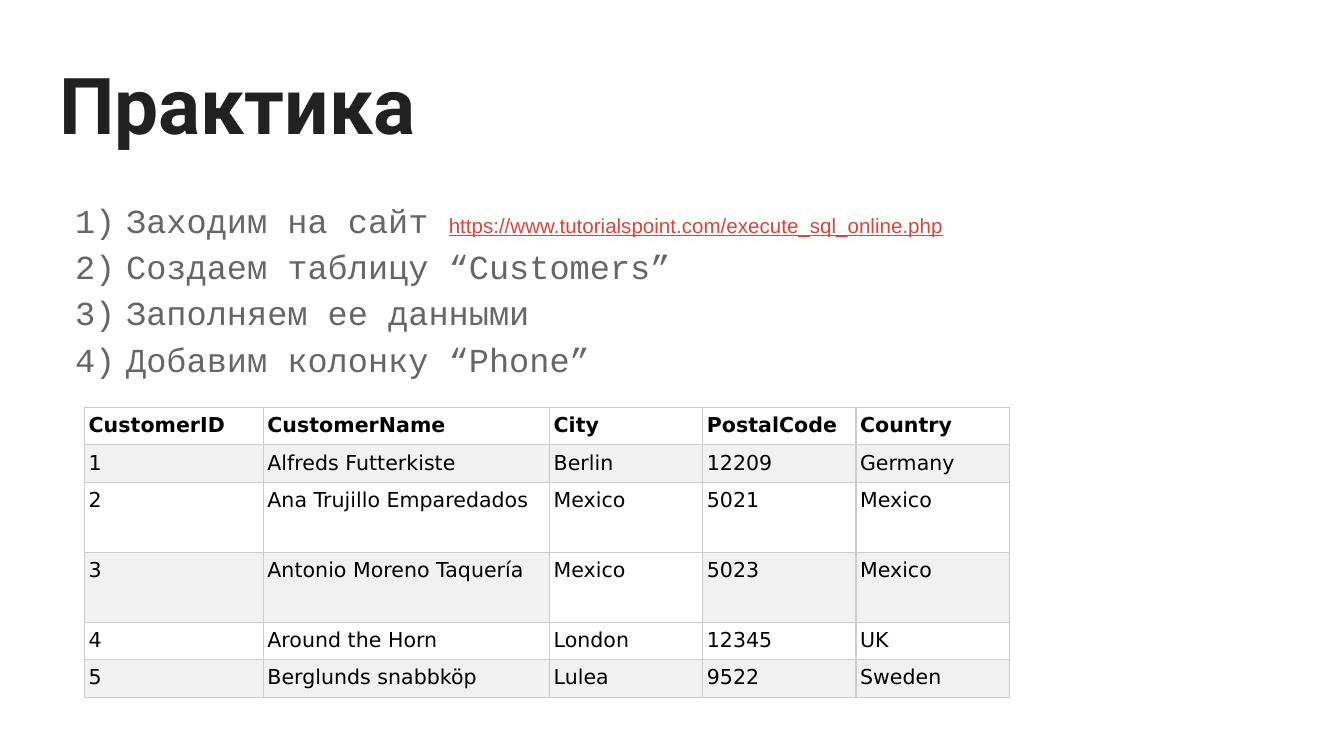
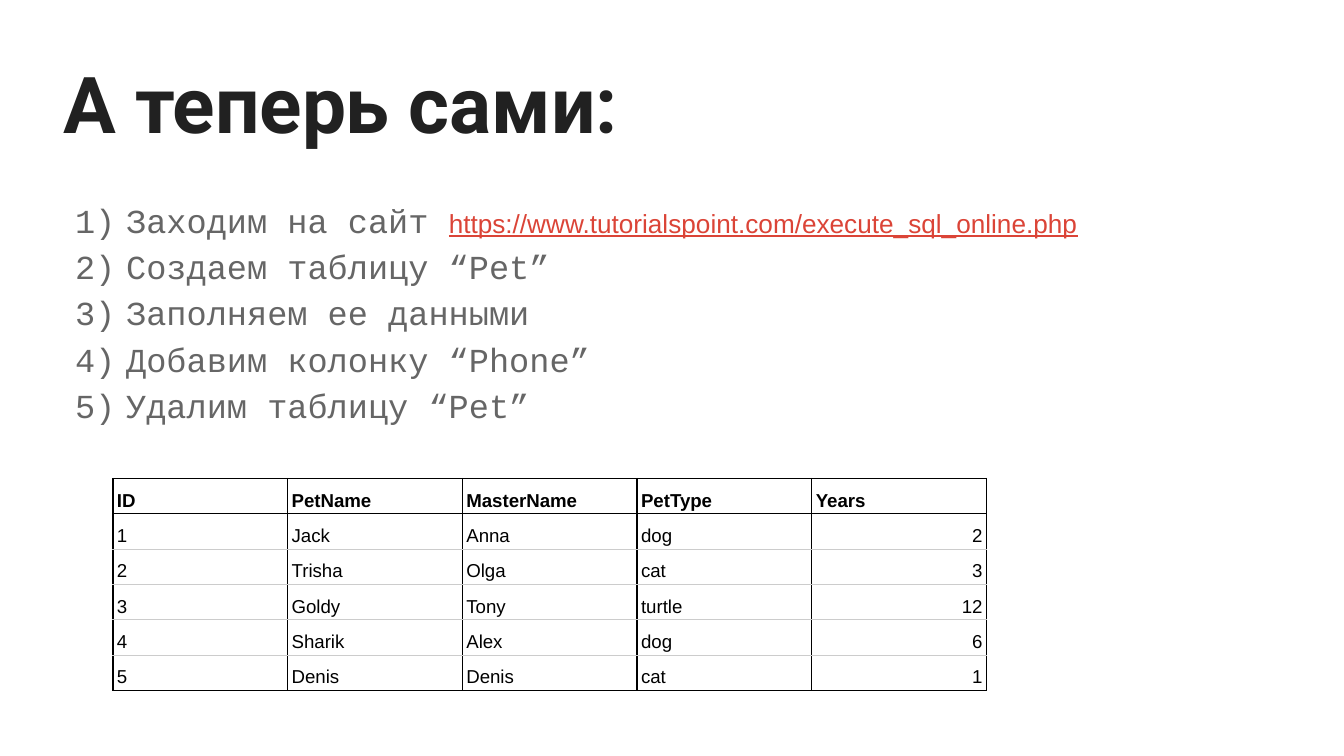
from lxml import etree
from pptx import Presentation
from pptx.dml.color import RGBColor
from pptx.enum import text
from pptx.oxml.ns import qn
from pptx.util import Inches, Pt

COLORS = {"title": "212121", "body": "666666", "link": "DB4437", "ink": "000000",
          "grid": "CCCCCC", "band": "F1F1F1", "white": "FFFFFF"}
URL = "https://www.tutorialspoint.com/execute_sql_online.php"
FIRST_STEP = "Заходим на сайт "

SLIDES = [
    {
        "title": "Практика", "title_at": (0.34, 0.32), "url_size": 11,
        "body_height": 1.69,
        "steps": ["Создаем таблицу “Customers”", "Заполняем ее данными",
                  "Добавим колонку “Phone”"],
        "table": {
            "at": (0.63, 3.03), "font": "DejaVu Sans", "size": 11,
            "cols": [1.33, 2.13, 1.14, 1.14, 1.14],
            "rows": [0.28, 0.28, 0.52, 0.52, 0.28, 0.28],
            "banded": True, "unbanded": {(3, 2)}, "boxed": False,
            "data": [
                ("CustomerID", "CustomerName", "City", "PostalCode", "Country"),
                ("1", "Alfreds Futterkiste", "Berlin", "12209", "Germany"),
                ("2", "Ana Trujillo Emparedados", "Mexico", "5021", "Mexico"),
                ("3", "Antonio Moreno Taquería", "Mexico", "5023", "Mexico"),
                ("4", "Around the Horn", "London", "12345", "UK"),
                ("5", "Berglunds snabbköp", "Lulea", "9522", "Sweden"),
            ],
        },
    },
    {
        "title": "А теперь сами:", "title_at": (0.37, 0.31), "url_size": 14,
        "body_height": 2.06,
        "steps": ["Создаем таблицу “Pet”", "Заполняем ее данными",
                  "Добавим колонку “Phone”", "Удалим таблицу “Pet”"],
        "table": {
            "at": (0.84, 3.56), "font": "Arial", "size": 10,
            "cols": [1.3] * 5, "rows": [1.58 / 6] * 6,
            "banded": False, "unbanded": set(), "boxed": True,
            "data": [
                ("ID", "PetName", "MasterName", "PetType", "Years"),
                ("1", "Jack", "Anna", "dog", 2),
                ("2", "Trisha", "Olga", "cat", 3),
                ("3", "Goldy", "Tony", "turtle", 12),
                ("4", "Sharik", "Alex", "dog", 6),
                ("5", "Denis", "Denis", "cat", 1),
            ],
        },
    },
]


def add_run(p, words, font, size, color, bold=False, underline=False):
    r = p.add_run()
    r.text = words
    r.font.name, r.font.size = font, Pt(size)
    r.font.bold, r.font.underline = bold, underline
    r.font.color.rgb = RGBColor.from_string(COLORS[color])


def set_frame(tf):
    tf.word_wrap = True
    tf.auto_size = text.MSO_AUTO_SIZE.NONE
    tf.vertical_anchor = text.MSO_ANCHOR.TOP
    tf.margin_left = tf.margin_right = tf.margin_top = tf.margin_bottom = Inches(0.1)


def number_paragraph(p):
    pPr = p._p.get_or_add_pPr()
    pPr.set("marL", str(Inches(0.5)))
    pPr.set("indent", str(Inches(-0.38)))
    color = etree.SubElement(pPr, qn("a:buClr"))
    etree.SubElement(color, qn("a:srgbClr"), val=COLORS["body"])
    etree.SubElement(pPr, qn("a:buSzPts"), val="1800")
    etree.SubElement(pPr, qn("a:buFont"), typeface="Courier New")
    etree.SubElement(pPr, qn("a:buAutoNum"), type="arabicParenR")
    p.line_spacing = 1.15


def set_borders(cell, **sides):
    tcPr = cell._tc.get_or_add_tcPr()
    for side in "LRTB":
        ln = etree.SubElement(tcPr, qn("a:ln" + side), w=str(Pt(0.75)))
        fill = etree.SubElement(ln, qn("a:solidFill"))
        etree.SubElement(fill, qn("a:srgbClr"), val=COLORS[sides[side]])


def add_title(s, words, at):
    sp = s.shapes.title
    sp.left, sp.top, sp.width, sp.height = map(Inches, (*at, 9.32, 0.88))
    set_frame(sp.text_frame)
    p = sp.text_frame.paragraphs[0]
    p.alignment = text.PP_ALIGN.LEFT
    p.line_spacing = 1.0
    add_run(p, words, "Roboto", 42, "title", bold=True)


def add_steps(s, steps, height, url_size):
    sp = s.shapes.add_textbox(*map(Inches, (0.34, 1.34, 9.32, height)))
    tf = sp.text_frame
    set_frame(tf)
    for i, step in enumerate([FIRST_STEP, *steps]):
        p = tf.add_paragraph() if i else tf.paragraphs[0]
        number_paragraph(p)
        add_run(p, step, "Courier New", 18, "body")
        if i == 0:
            add_run(p, URL, "Arial", url_size, "link", underline=True)


def add_grid(s, spec):
    cols, rows, boxed = spec["cols"], spec["rows"], spec["boxed"]
    size = (sum(cols), sum(rows))
    table = s.shapes.add_table(len(rows), len(cols),
                               *map(Inches, (*spec["at"], *size))).table
    table.first_row = table.horz_banding = False
    for col, width in zip(table.columns, cols):
        col.width = Inches(width)
    for row, height in zip(table.rows, rows):
        row.height = Inches(height)

    dark_rules = {0, 1, len(rows)} if boxed else set()
    rules = ["ink" if i in dark_rules else "grid" for i in range(len(rows) + 1)]
    side = "ink" if boxed else "grid"
    for i, record in enumerate(spec["data"]):
        for j, value in enumerate(record):
            cell = table.cell(i, j)
            cell.margin_left = cell.margin_right = Inches(0.03)
            cell.margin_top = cell.margin_bottom = Inches(0.02)
            cell.vertical_anchor = text.MSO_ANCHOR.BOTTOM if boxed else text.MSO_ANCHOR.TOP
            set_borders(cell, L=side, R=side, T=rules[i], B=rules[i + 1])
            if boxed and j:
                cell.fill.background()
            else:
                shaded = spec["banded"] and i % 2 and (i, j) not in spec["unbanded"]
                cell.fill.solid()
                cell.fill.fore_color.rgb = RGBColor.from_string(
                    COLORS["band" if shaded else "white"])
            p = cell.text_frame.paragraphs[0]
            p.line_spacing = 1.15
            if isinstance(value, int):
                p.alignment = text.PP_ALIGN.RIGHT
            add_run(p, str(value), spec["font"], spec["size"], "ink", bold=i == 0)


def main():
    prs = Presentation()
    prs.slide_width = Inches(10)
    prs.slide_height = prs.slide_width * 9 // 16
    for content in SLIDES:
        s = prs.slides.add_slide(prs.slide_layouts[5])
        add_title(s, content["title"], content["title_at"])
        add_steps(s, content["steps"], content["body_height"], content["url_size"])
        add_grid(s, content["table"])
    prs.save("out.pptx")


if __name__ == "__main__":
    main()
